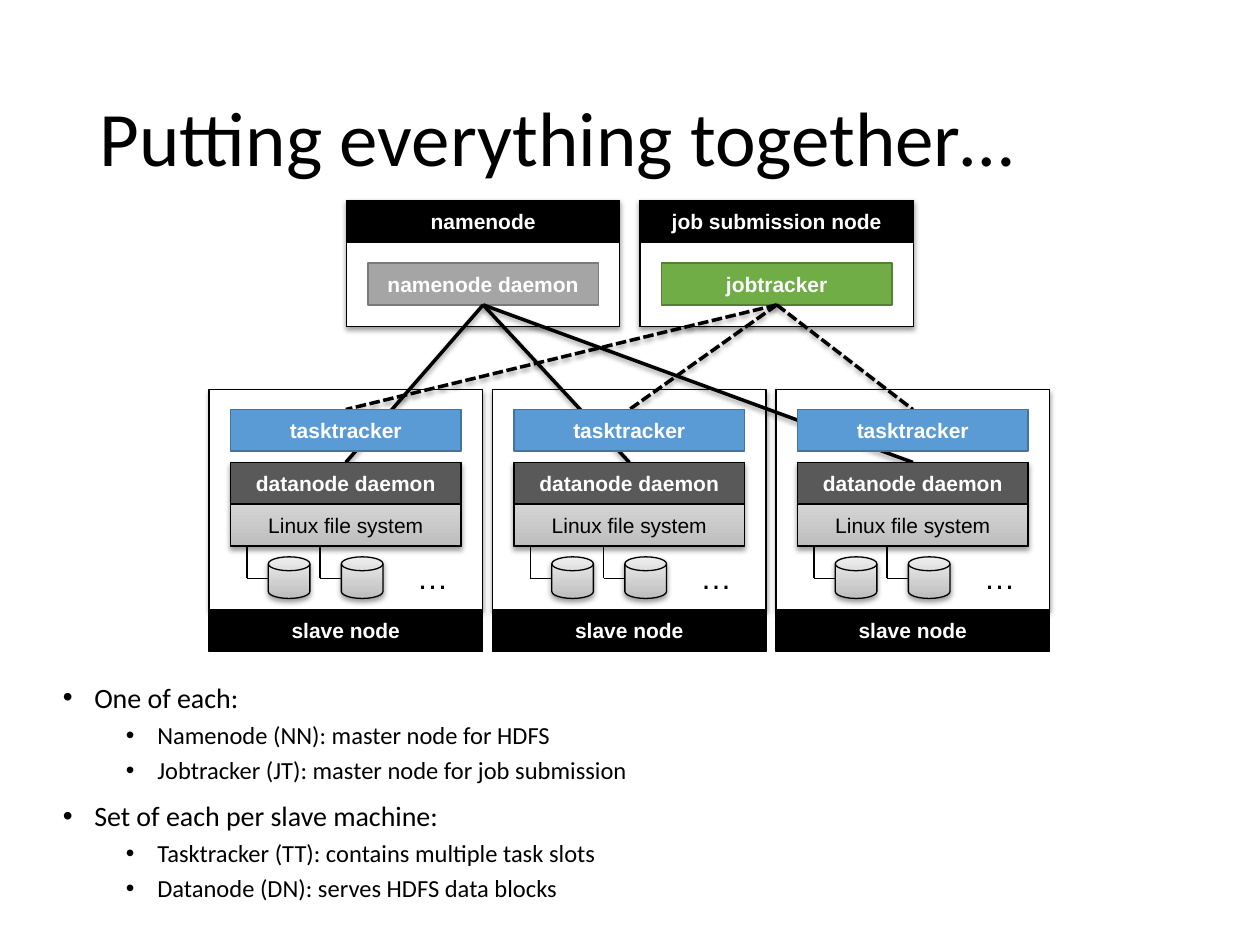
"""Build a slide showing how master nodes and slave nodes fit together."""
from pptx import Presentation
from pptx.dml.color import RGBColor
from pptx.enum.dml import MSO_LINE
from pptx.enum.shapes import MSO_CONNECTOR, MSO_SHAPE
from pptx.enum.text import MSO_ANCHOR, MSO_AUTO_SIZE, PP_ALIGN
from pptx.oxml import parse_xml
from pptx.oxml.ns import nsdecls, qn
from pptx.oxml.xmlchemy import OxmlElement
from pptx.util import Inches, Pt

BLACK = RGBColor(0x00, 0x00, 0x00)
WHITE = RGBColor(0xFF, 0xFF, 0xFF)
GRAY = RGBColor(0xA5, 0xA5, 0xA5)
GRAY_EDGE = RGBColor(0x7A, 0x7A, 0x7A)
GREEN = RGBColor(0x70, 0xAD, 0x47)
GREEN_EDGE = RGBColor(0x53, 0x80, 0x35)
BLUE = RGBColor(0x5B, 0x9B, 0xD5)
BLUE_EDGE = RGBColor(0x43, 0x73, 0x9E)
CHARCOAL = RGBColor(0x59, 0x59, 0x59)
SILVER = (RGBColor(0xBD, 0xBD, 0xBD), RGBColor(0xEE, 0xEE, 0xEE))

NODE_WIDTH, INNER_WIDTH, MARGIN, BAR = 2.17, 1.83, 0.17, 0.33
SLAVE_LEFTS = [1.66 + 2.25 * index for index in range(3)]

presentation = Presentation()
presentation.slide_width, presentation.slide_height = Inches(10), Inches(7.5)
slide = presentation.slides.add_slide(presentation.slide_layouts[5])
shadowed = []


def write_text(paragraph, text, size=12, color=BLACK, font="Arial", bold=False, align=PP_ALIGN.LEFT):
    run = paragraph.add_run()
    run.text = text
    run.font.size, run.font.name, run.font.bold = Pt(size), font, bold
    run.font.color.rgb = color
    paragraph.alignment = align


def add_box(left, top, width, height, text="", fill=None, edge=BLACK, edge_width=0.75,
            color=WHITE, bold=True, shadow=False, kind=MSO_SHAPE.RECTANGLE):
    shape = slide.shapes.add_shape(kind, Inches(left), Inches(top), Inches(width), Inches(height))
    shape.shadow.inherit = False
    if fill is None:
        shape.fill.background()
    elif fill is SILVER:
        shape.fill.gradient()
        shape.fill.gradient_angle = 90
        for stop, stop_color in zip(shape.fill.gradient_stops, SILVER):
            stop.color.rgb = stop_color
    else:
        shape.fill.solid()
        shape.fill.fore_color.rgb = fill
    shape.line.color.rgb = edge
    shape.line.width = Pt(edge_width)
    if text:
        shape.text_frame.vertical_anchor = MSO_ANCHOR.MIDDLE
        write_text(shape.text_frame.paragraphs[0], text, color=color, bold=bold, align=PP_ALIGN.CENTER)
    if shadow:
        shadowed.append(shape)
    return shape


title = slide.shapes.title
title.left, title.top, title.width, title.height = Inches(0.69), Inches(0.4), Inches(8.62), Inches(1.45)
title.text_frame.auto_size = MSO_AUTO_SIZE.NONE
title.text_frame.vertical_anchor = MSO_ANCHOR.MIDDLE
title.text_frame.paragraphs[0].line_spacing = 0.9
write_text(title.text_frame.paragraphs[0], "Putting everything together…", size=44, font="Calibri")

for left in SLAVE_LEFTS:
    add_box(left, 3.09, NODE_WIDTH, 1.75, fill=WHITE, shadow=True)

masters = [
    (2.75, "namenode", "namenode daemon", GRAY, GRAY_EDGE, MSO_LINE.SOLID),
    (5.08, "job submission node", "jobtracker", GREEN, GREEN_EDGE, MSO_LINE.SQUARE_DOT),
]
links = []
for left, name, daemon_name, fill, edge, dash in masters:
    add_box(left, 1.59, NODE_WIDTH, 1, fill=WHITE, shadow=True)
    add_box(left, 1.59, NODE_WIDTH, BAR, name, fill=BLACK)
    add_box(left, 1.92, NODE_WIDTH, 0.67)
    daemon = add_box(left + MARGIN, 2.09, INNER_WIDTH, BAR, daemon_name, fill=fill, edge=edge, edge_width=1)
    daemon_links = []
    for slave_left in SLAVE_LEFTS:
        link = slide.shapes.add_connector(MSO_CONNECTOR.STRAIGHT, 0, 0, 0, 0)
        link.begin_connect(daemon, 2)
        link.line.width = Pt(2)
        link.line.dash_style = dash
        daemon_links.append(link)
    links.append(daemon_links)
namenode_links, jobtracker_links = links

wires = []
for left, namenode_link, jobtracker_link in zip(SLAVE_LEFTS, namenode_links, jobtracker_links):
    inner = left + MARGIN
    add_box(inner, 3.67, INNER_WIDTH, 0.67, fill=SILVER, shadow=True)
    datanode = add_box(inner, 3.67, INNER_WIDTH, BAR, "datanode daemon", fill=CHARCOAL)
    add_box(inner, 4, INNER_WIDTH, BAR, "Linux file system", color=BLACK, bold=False)
    for disk_left in (inner + 0.3, inner + 0.88):
        add_box(disk_left, 4.42, BAR, BAR, fill=SILVER, shadow=True, kind=MSO_SHAPE.FLOWCHART_MAGNETIC_DISK)
        wire_left = disk_left - 0.17
        for start, end in (((wire_left, 4.34), (wire_left, 4.59)), ((wire_left, 4.59), (disk_left, 4.59))):
            wire = slide.shapes.add_connector(MSO_CONNECTOR.STRAIGHT, *map(Inches, start + end))
            wire.line.width = Pt(0.75)
            wires.append(wire)
    ellipsis = slide.shapes.add_textbox(Inches(inner + 1.38), Inches(4.38), Inches(0.45), Inches(0.4))
    ellipsis.text_frame.word_wrap = False
    write_text(ellipsis.text_frame.paragraphs[0], "…", size=18)
    tasktracker = add_box(inner, 3.25, INNER_WIDTH, BAR, "tasktracker", fill=BLUE, edge=BLUE_EDGE, edge_width=1)
    add_box(left, 4.84, NODE_WIDTH, BAR, "slave node", fill=BLACK)
    namenode_link.end_connect(datanode, 0)
    jobtracker_link.end_connect(tasktracker, 0)

master_links = namenode_links + jobtracker_links
for connector in master_links + wires:
    connector.line.color.rgb = BLACK
    connector.element.spPr.append(OxmlElement("a:effectLst"))

for shape in shadowed + master_links:
    shape.element.spPr.find(qn("a:effectLst")).append(parse_xml(
        f'<a:outerShdw {nsdecls("a")} blurRad="{Pt(3.1)}" dist="{Pt(1.6)}" dir="5400000" rotWithShape="0">'
        '<a:srgbClr val="000000"><a:alpha val="38000"/></a:srgbClr></a:outerShdw>'))

bullets = [
    (0, "One of each:"),
    (1, "Namenode (NN): master node for HDFS"),
    (1, "Jobtracker (JT): master node for job submission"),
    (0, "Set of each per slave machine:"),
    (1, "Tasktracker (TT): contains multiple task slots"),
    (1, "Datanode (DN): serves HDFS data blocks"),
]
summary = slide.shapes.add_textbox(Inches(0.4), Inches(5.38), Inches(8.62), Inches(1.87))
summary.text_frame.word_wrap = True
for index, (level, text) in enumerate(bullets):
    paragraph = summary.text_frame.paragraphs[0] if index == 0 else summary.text_frame.add_paragraph()
    paragraph.level = level
    paragraph.line_spacing = 0.9
    if index:
        paragraph.space_before = Pt(5 if level else 10)
    properties = paragraph._p.get_or_add_pPr()
    properties.set("marL", str(Inches(0.25 + 0.5 * level)))
    properties.set("indent", str(Inches(-0.25)))
    properties.append(parse_xml(f'<a:buFont {nsdecls("a")} typeface="Arial"/>'))
    properties.append(parse_xml(f'<a:buChar {nsdecls("a")} char="•"/>'))
    write_text(paragraph, text, size=14 if level else 16, font="Calibri")

presentation.save("out.pptx")
